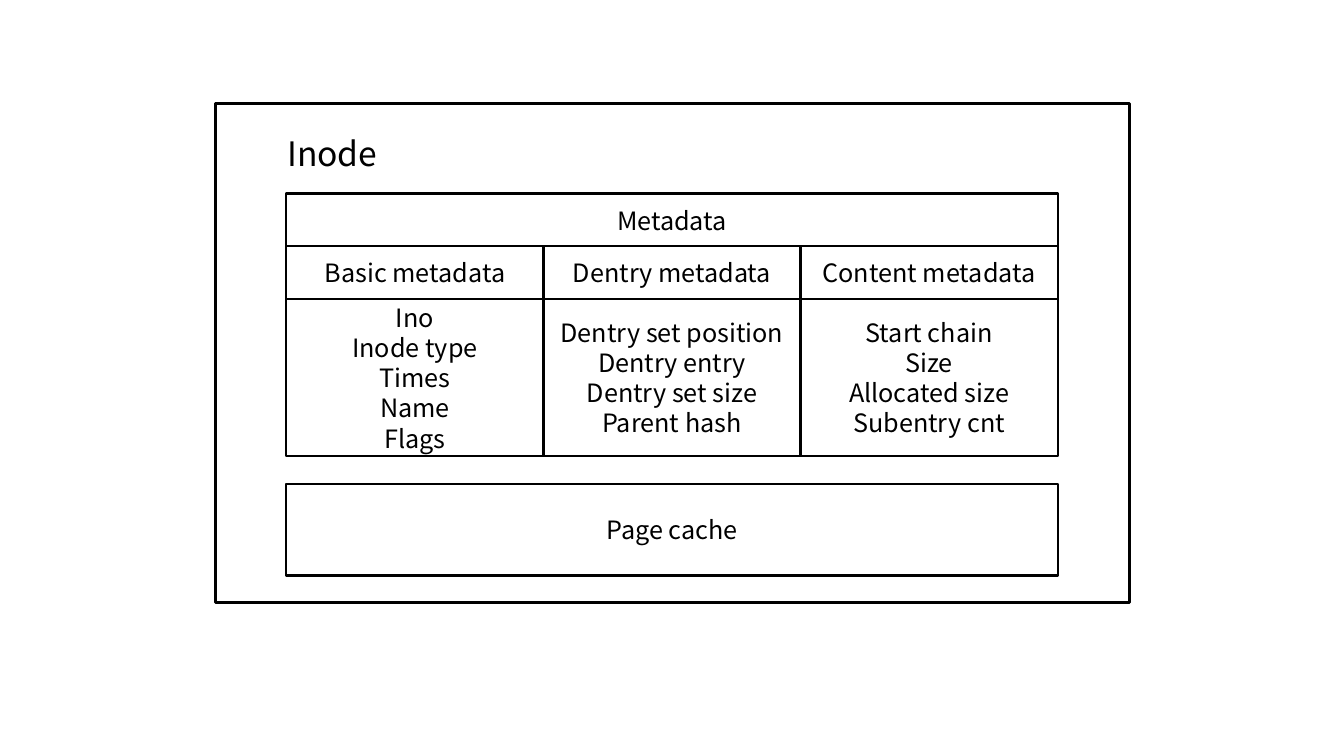
from pptx import Presentation
from pptx.dml.color import RGBColor
from pptx.enum import shapes, text
from pptx.util import Inches, Pt

# Content
TITLE = "Inode"
METADATA = "Metadata"
GROUPS = [
    ("Basic metadata", ["Ino", "Inode type", "Times", "Name", "Flags"]),
    ("Dentry metadata", ["Dentry set position", "Dentry entry", "Dentry set size", "Parent hash"]),
    ("Content metadata", ["Start chain", "Size", "Allocated size", "Subentry cnt"]),
]
PAGE_CACHE = "Page cache"

THEME = {
    "font": "Noto Sans CJK SC",
    "ink": RGBColor(0, 0, 0),
    "paper": RGBColor(255, 255, 255),
    "title": 24,
    "body": 18,
    "frame_line": 2.25,
    "box_line": 1.5,
}

# Layout in inches
LEFT, TOP = 2.84, 1.92
COLUMN_W, HEADER_H, FIELDS_H = 2.55, 0.525, 1.55
TABLE_W = COLUMN_W * len(GROUPS)
CACHE_TOP, CACHE_H = 4.8, 0.91

deck = Presentation()
deck.slide_width, deck.slide_height = Inches(13.33), Inches(7.5)
slide = deck.slides.add_slide(deck.slide_layouts[6])


def write(frame, lines, size, align):
    for i, line in enumerate(lines):
        paragraph = frame.paragraphs[0] if i == 0 else frame.add_paragraph()
        paragraph.alignment = align
        run = paragraph.add_run()
        run.text = line
        run.font.name = THEME["font"]
        run.font.size = Pt(size)
        run.font.color.rgb = THEME["ink"]


def add_box(x, y, w, h, lines=(), line_width=THEME["box_line"]):
    box = slide.shapes.add_shape(
        shapes.MSO_SHAPE.RECTANGLE, Inches(x), Inches(y), Inches(w), Inches(h))
    box.shadow.inherit = False
    box.line.color.rgb = THEME["ink"]
    box.line.width = Pt(line_width)
    if lines:
        box.fill.solid()
        box.fill.fore_color.rgb = THEME["paper"]
        box.text_frame.word_wrap = True
        box.text_frame.vertical_anchor = text.MSO_ANCHOR.MIDDLE
        write(box.text_frame, lines, THEME["body"], text.PP_ALIGN.CENTER)
    else:
        box.fill.background()


# Inode frame and title
add_box(2.14, 1.03, 9.06, 4.95, line_width=THEME["frame_line"])
title = slide.shapes.add_textbox(Inches(2.75), Inches(1.27), Inches(1.24), Inches(0.5))
title.text_frame.word_wrap = True
title.text_frame.auto_size = text.MSO_AUTO_SIZE.SHAPE_TO_FIT_TEXT
write(title.text_frame, [TITLE], THEME["title"], text.PP_ALIGN.LEFT)

# Metadata groups: a header above its fields
for column, (header, fields) in enumerate(GROUPS):
    x = LEFT + column * COLUMN_W
    add_box(x, TOP + 2 * HEADER_H, COLUMN_W, FIELDS_H, fields)
    add_box(x, TOP + HEADER_H, COLUMN_W, HEADER_H, [header])
add_box(LEFT, TOP, TABLE_W, HEADER_H, [METADATA])

# Page cache
add_box(LEFT, CACHE_TOP, TABLE_W, CACHE_H, [PAGE_CACHE])

deck.save("out.pptx")
